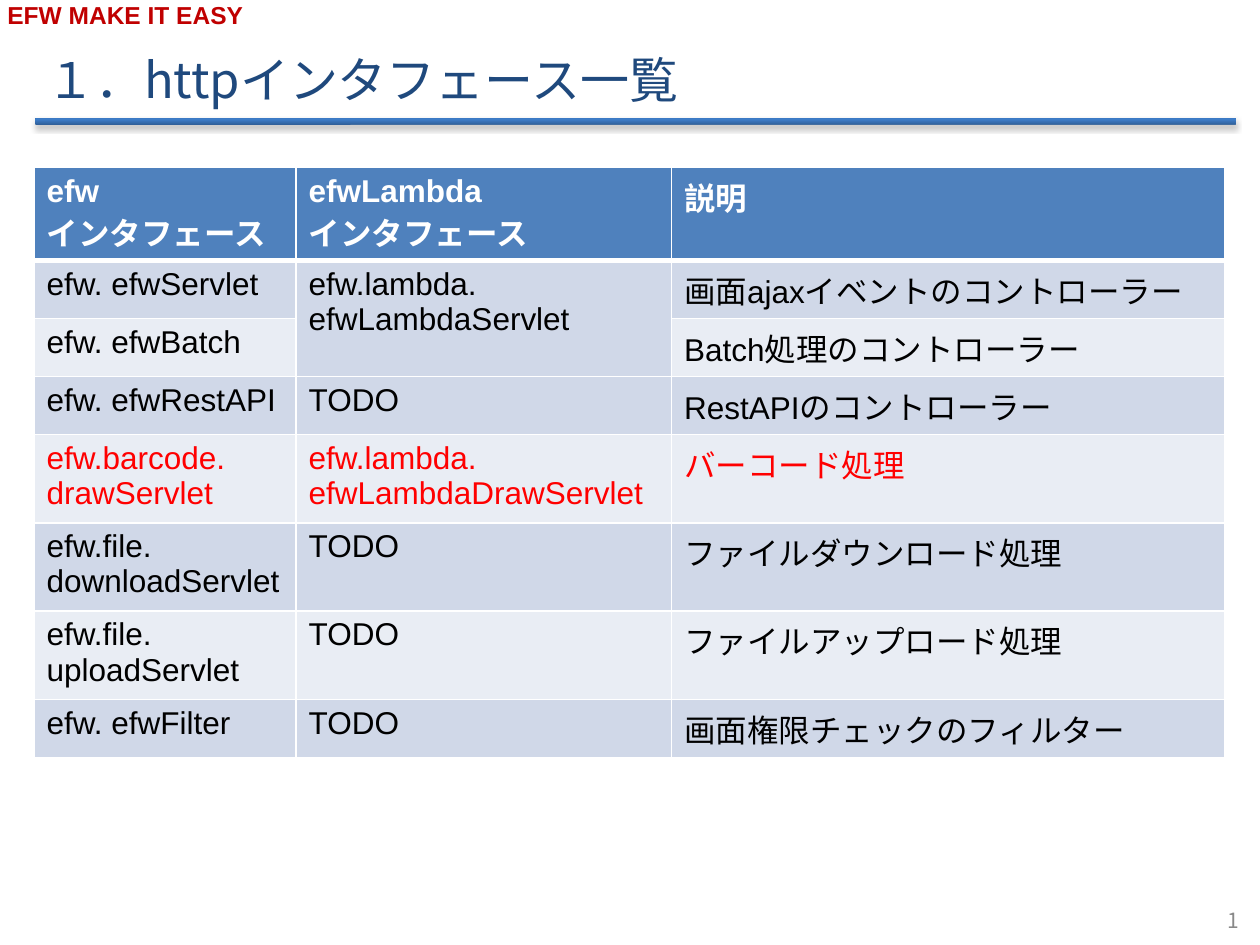
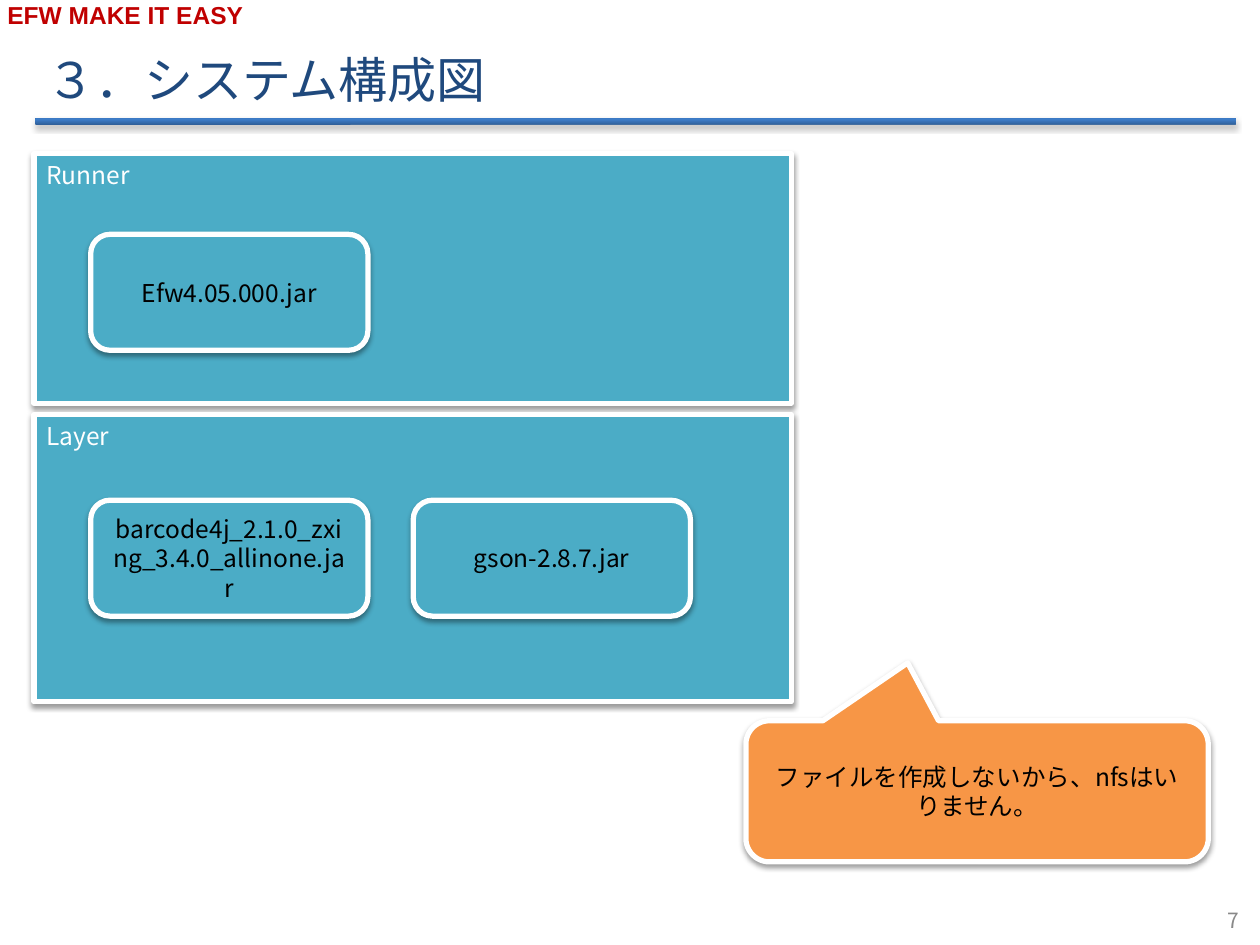
import pptx
import pptx.util
import pptx.dml.color
import pptx.enum.shapes
import pptx.enum.text
import pptx.oxml
import pptx.oxml.ns
from lxml import etree

Inches = pptx.util.Inches
Pt = pptx.util.Pt
RGBColor = pptx.dml.color.RGBColor
SHAPE = pptx.enum.shapes.MSO_SHAPE
ALIGN = pptx.enum.text.PP_ALIGN
ANCHOR = pptx.enum.text.MSO_ANCHOR
qn = pptx.oxml.ns.qn

WHITE = RGBColor(0xFF, 0xFF, 0xFF)
BLACK = RGBColor(0, 0, 0)
RED = RGBColor(0xFF, 0, 0)
CRIMSON = RGBColor(0xC0, 0, 0)
NAVY = RGBColor(0x1F, 0x49, 0x7D)
GREY = RGBColor(0x89, 0x89, 0x89)
DARK = RGBColor(0x2F, 0x5F, 0x99)
BRIGHT = RGBColor(0x3D, 0x7C, 0xC7)
BLUE = RGBColor(0x4F, 0x81, 0xBD)
BANDS = [RGBColor(0xE9, 0xED, 0xF4), RGBColor(0xD0, 0xD8, 0xE8)]
TEAL = RGBColor(0x4B, 0xAC, 0xC6)
ORANGE = RGBColor(0xF7, 0x96, 0x46)
NOTO = "Noto Sans CJK JP"
ARIAL = "Arial"


def write(frame, text, size, color, font=NOTO, bold=False, align=ALIGN.LEFT,
          anchor=ANCHOR.MIDDLE):
    frame.word_wrap = True
    frame.vertical_anchor = anchor
    frame.text = text
    for par in frame.paragraphs:
        par.alignment = align
        for run in par.runs:
            run.font.size = Pt(size)
            run.font.bold = bold
            run.font.color.rgb = color
            run.font.name = font
            east = etree.SubElement(run.font._element, qn("a:ea"))
            east.set("typeface", NOTO)


def shade(shape, alpha):
    """Give the shape a soft shadow straight below it."""
    shape.shadow.inherit = False
    effects = shape._element.spPr.find(qn("a:effectLst"))
    outer = etree.SubElement(effects, qn("a:outerShdw"), blurRad=str(Pt(3.1)),
                             dist=str(Pt(1.7)), dir="5400000", rotWithShape="0")
    color = etree.SubElement(outer, qn("a:srgbClr"), val="000000")
    etree.SubElement(color, qn("a:alpha"), val=str(alpha * 1000))


deck = pptx.Presentation()
deck.slide_width = Inches(10)
deck.slide_height = Inches(7.5)

# Shared frame: rule, banner, title and page number
slides = []
for title, page in [("１．httpインタフェース一覧", "1"), ("３．システム構成図", "7")]:
    slide = deck.slides.add_slide(deck.slide_layouts[6])
    slides.append(slide)
    rule = slide.shapes.add_shape(SHAPE.ROUNDED_RECTANGLE, Inches(0.28), Inches(0.94),
                                  Inches(9.53), Inches(0.05))
    rule.fill.gradient()
    rule.fill.gradient_angle = 90
    for stop, color, place in zip(rule.fill.gradient_stops, [DARK, BRIGHT], [0, 0.8]):
        stop.color.rgb = color
        stop.position = place
    rule.line.fill.background()
    shade(rule, 35)

    banner = slide.shapes.add_textbox(Inches(-0.04), Inches(-0.05), Inches(3.54), Inches(0.34))
    write(banner.text_frame, "EFW MAKE IT EASY", 14, CRIMSON, ARIAL, True, anchor=ANCHOR.TOP)
    head = slide.shapes.add_textbox(Inches(0.27), Inches(0.3), Inches(9), Inches(0.61))
    write(head.text_frame, title, 28, NAVY)
    head.text_frame.paragraphs[0].line_spacing = 1.1
    foot = slide.shapes.add_textbox(Inches(7.6), Inches(7.1), Inches(2.33), Inches(0.4))
    write(foot.text_frame, page, 12, GREY, align=ALIGN.RIGHT)

# Slide 1: table of interfaces
rows = [
    ("efw\nインタフェース", "efwLambda\nインタフェース", "説明"),
    ("efw. efwServlet", "efw.lambda. efwLambdaServlet", "画面ajaxイベントのコントローラー"),
    ("efw. efwBatch", "", "Batch処理のコントローラー"),
    ("efw. efwRestAPI", "TODO", "RestAPIのコントローラー"),
    ("efw.barcode. drawServlet", "efw.lambda.\nefwLambdaDrawServlet", "バーコード処理"),
    ("efw.file.\ndownloadServlet", "TODO", "ファイルダウンロード処理"),
    ("efw.file. uploadServlet", "TODO", "ファイルアップロード処理"),
    ("efw. efwFilter", "TODO", "画面権限チェックのフィルター"),
]
widths = [2.08, 2.98, 4.39]
heights = [0.74, 0.46, 0.46, 0.46, 0.66, 0.66, 0.66, 0.46]
REDROW = 4
table = slides[0].shapes.add_table(len(rows), len(widths), Inches(0.27), Inches(1.33),
                                   Inches(sum(widths)), Inches(sum(heights))).table
for col, width in zip(table.columns, widths):
    col.width = Inches(width)
for r, (row, height) in enumerate(zip(rows, heights)):
    table.rows[r].height = Inches(height)
    for c, text in enumerate(row):
        cell = table.cell(r, c)
        props = cell._tc.get_or_add_tcPr()
        for side in ("lnL", "lnR", "lnT", "lnB"):
            thick = (r == 0 and side == "lnB") or (r == 1 and side == "lnT")
            edge = etree.SubElement(props, qn("a:" + side), w=str(Pt(3 if thick else 1)))
            paint = etree.SubElement(edge, qn("a:solidFill"))
            etree.SubElement(paint, qn("a:srgbClr"), val=str(WHITE))
        cell.fill.solid()
        cell.fill.fore_color.rgb = BANDS[r % 2] if r else BLUE
        color = WHITE if r == 0 else RED if r == REDROW else BLACK
        write(cell.text_frame, text, 18, color, ARIAL, r == 0, anchor=ANCHOR.TOP)
        cell.vertical_anchor = ANCHOR.TOP
table.cell(1, 1).merge(table.cell(2, 1))

# Slide 2: system layout
boxes = [
    (SHAPE.RECTANGLE, 0.27, 1.22, 6.01, 1.98, "Runner"),
    (SHAPE.RECTANGLE, 0.27, 3.29, 6.01, 2.28, "Layer"),
    (SHAPE.ROUNDED_RECTANGLE, 0.72, 1.86, 2.2, 0.92, "Efw4.05.000.jar"),
    (SHAPE.ROUNDED_RECTANGLE, 0.72, 3.97, 2.2, 0.92,
     "barcode4j_2.1.0_zxing_3.4.0_allinone.jar"),
    (SHAPE.ROUNDED_RECTANGLE, 3.28, 3.97, 2.2, 0.92, "gson-2.8.7.jar"),
    (SHAPE.ROUNDED_RECTANGULAR_CALLOUT, 5.92, 5.72, 3.67, 1.12,
     "ファイルを作成しないから、nfsはいりません。"),
]
for kind, left, top, width, height, text in boxes:
    box = slides[1].shapes.add_shape(kind, Inches(left), Inches(top),
                                     Inches(width), Inches(height))
    note = kind == SHAPE.ROUNDED_RECTANGULAR_CALLOUT
    box.fill.solid()
    box.fill.fore_color.rgb = ORANGE if note else TEAL
    box.line.color.rgb = WHITE
    box.line.width = Pt(3)
    shade(box, 38)
    if note:
        box.adjustments[0] = -0.15
        box.adjustments[1] = -0.91
    if kind == SHAPE.RECTANGLE:
        write(box.text_frame, text, 14, WHITE, anchor=ANCHOR.TOP)
    else:
        write(box.text_frame, text, 14, BLACK, align=ALIGN.CENTER)

deck.save("out.pptx")
